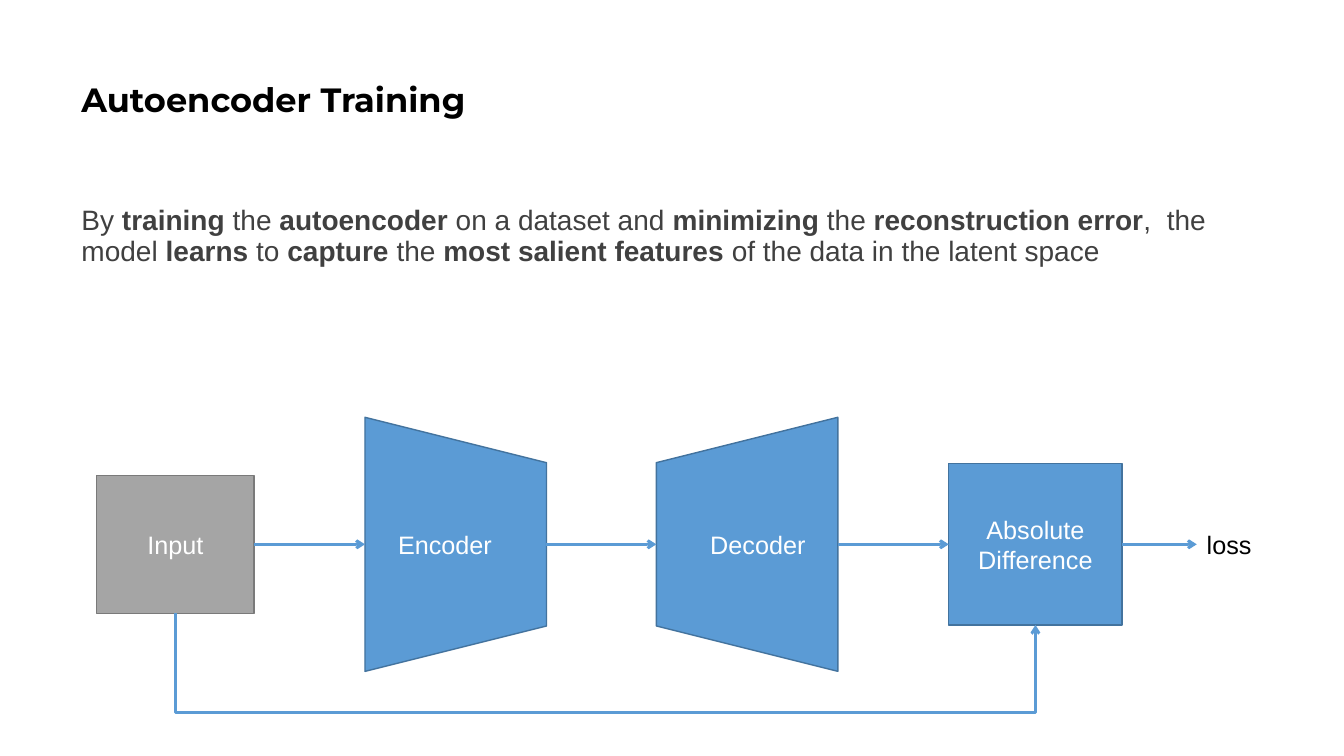
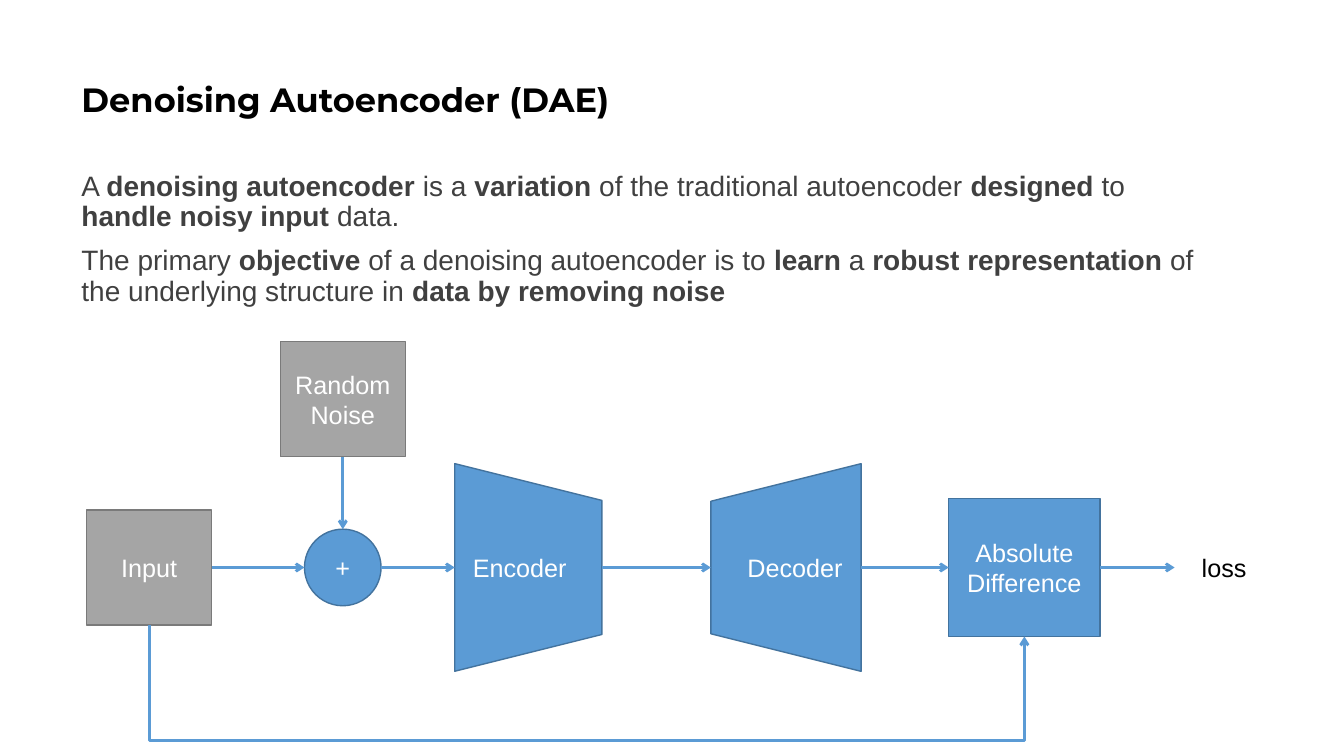
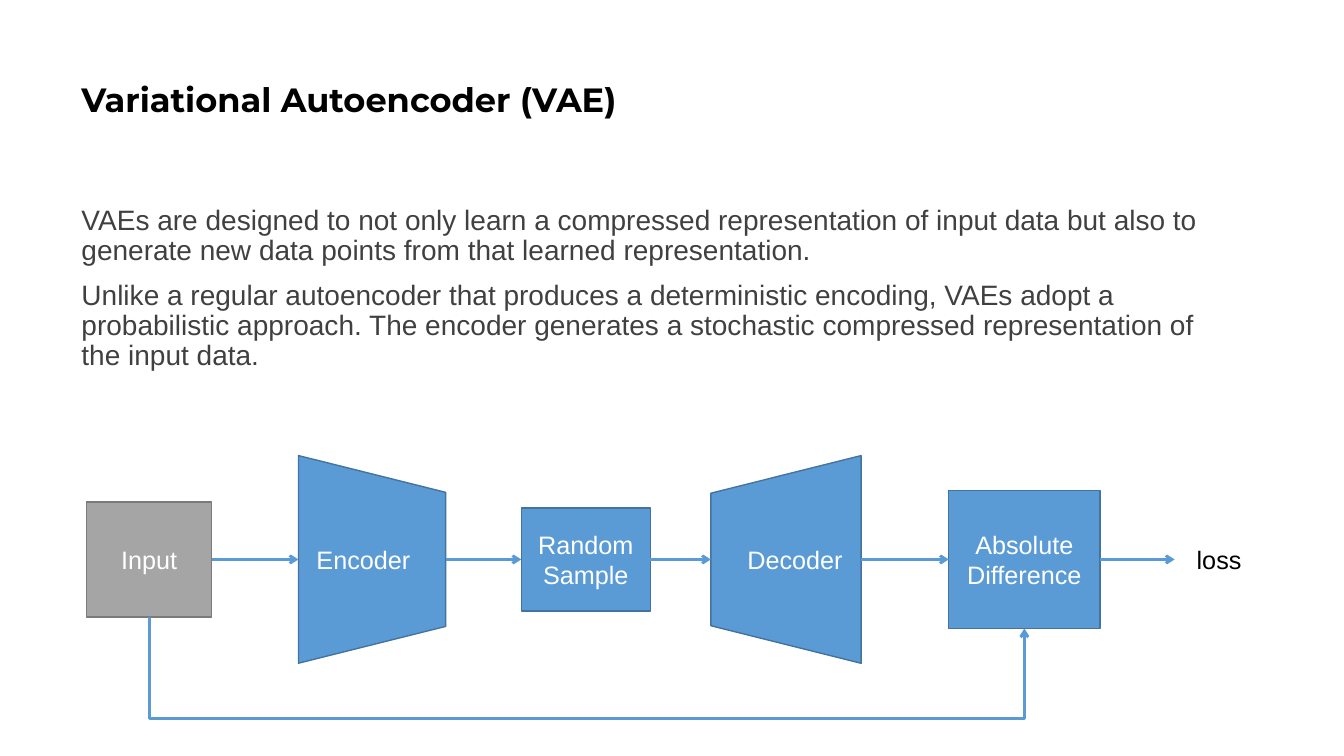
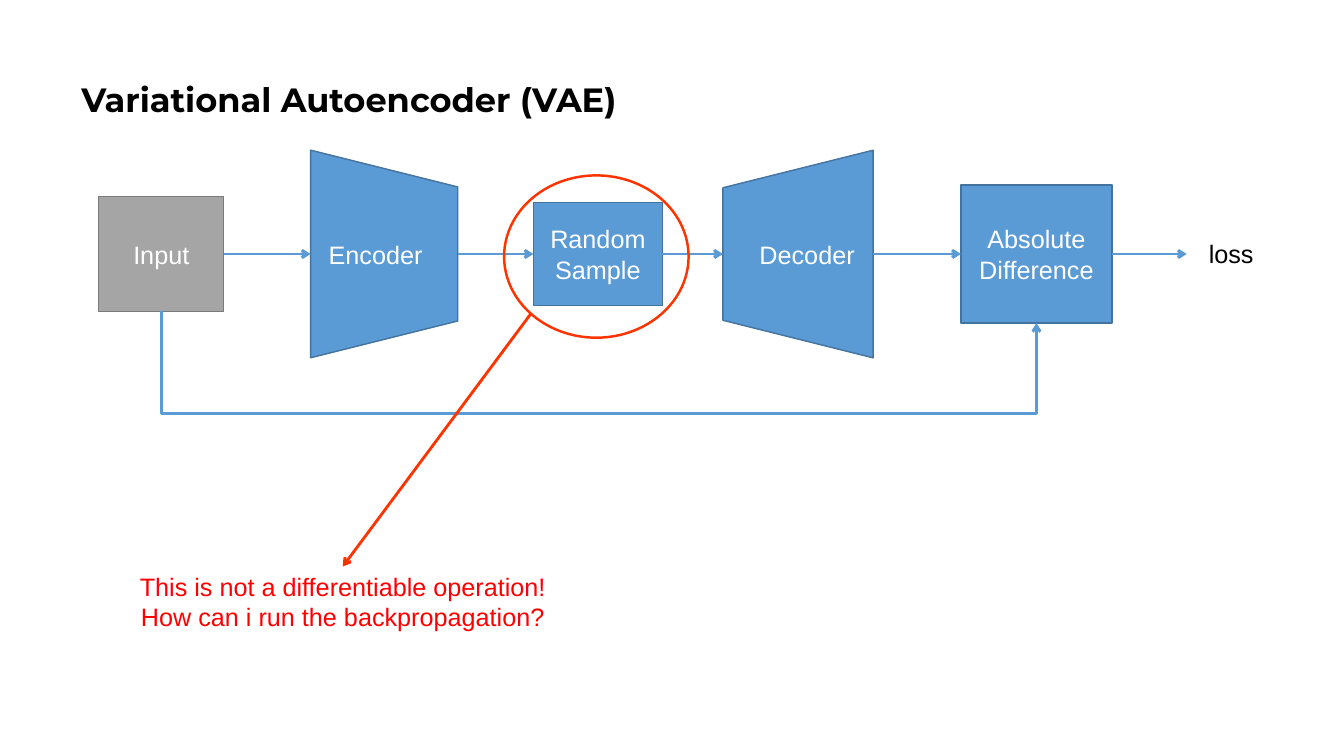
"""Build four slides on autoencoder training and its denoising and variational forms."""
from lxml import etree
from pptx import Presentation
from pptx.dml.color import RGBColor
from pptx.enum import shapes, text
from pptx.oxml import ns
from pptx.util import Inches, Pt

COLORS = {"black": "000000", "body": "404040", "white": "FFFFFF", "blue": "5B9BD5",
          "blue edge": "43739E", "gray": "A5A5A5", "gray edge": "7A7A7A",
          "ring": "FF3300", "warning": "FF0000"}
RECT, OVAL, TRAPEZOID = (shapes.MSO_SHAPE.RECTANGLE, shapes.MSO_SHAPE.OVAL,
                         shapes.MSO_SHAPE.TRAPEZOID)
STRAIGHT, ELBOW = shapes.MSO_CONNECTOR.STRAIGHT, shapes.MSO_CONNECTOR.ELBOW
LEFT, CENTER = text.PP_ALIGN.LEFT, text.PP_ALIGN.CENTER
MIDDLE = text.MSO_ANCHOR.MIDDLE
GRAY_BLOCKS = ("Input", "Random\nNoise")
TURNS = {"Encoder": (90, "vert270"), "Decoder": (270, "vert")}
OUTPUT_LENGTH = 0.74


def write(shape, content, color, size=18, font="Arial", align=LEFT, wrap=True):
    """Fill a shape with one paragraph per line; asterisks enclose bold words."""
    frame = shape.text_frame
    frame.word_wrap = wrap
    for number, line in enumerate(content.split("\n")):
        paragraph = frame.add_paragraph() if number else frame.paragraphs[0]
        paragraph.alignment = align
        for index, words in enumerate(line.split("*")):
            if words:
                run = paragraph.add_run()
                run.text = words
                run.font.name, run.font.size = font, Pt(size)
                run.font.bold = index % 2 == 1
                run.font.color.rgb = RGBColor.from_string(COLORS[color])
    return frame


def add_arrow(slide, kind, x1, y1, x2, y2, color="blue"):
    """Draw a connector with an open arrowhead at its end."""
    arrow = slide.shapes.add_connector(kind, Inches(x1), Inches(y1), Inches(x2), Inches(y2))
    arrow.line.color.rgb = RGBColor.from_string(COLORS[color])
    arrow.line.width = Pt(2)
    etree.SubElement(arrow.line._get_or_add_ln(), ns.qn("a:tailEnd"), type="arrow")
    etree.SubElement(arrow._element.spPr, ns.qn("a:effectLst"))
    return arrow


variational_chain = [("Input", RECT, 0.86, 1.24, 1.14), ("Encoder", TRAPEZOID, 2.96, 1.46, 2.06),
                     ("Random\nSample", RECT, 5.17, 1.28, 1.02),
                     ("Decoder", TRAPEZOID, 7.05, 1.49, 2.06),
                     ("Absolute\nDifference", RECT, 9.41, 1.5, 1.37)]

pages = [
    {"title": "Autoencoder Training", "body top": 2, "body height": 1.32,
     "body": "By *training *the *autoencoder *on a dataset and *minimizing *the "
             "*reconstruction error*,  the model *learns *to *capture *the "
             "*most salient features* of the data in the latent space",
     "axis": 5.4, "drop": 1.67, "loss": 11.87,
     "chain": [("Input", RECT, 0.96, 1.56, 1.37), ("Encoder", TRAPEZOID, 3.62, 1.8, 2.52),
               ("Decoder", TRAPEZOID, 6.51, 1.8, 2.52),
               ("Absolute\nDifference", RECT, 9.41, 1.72, 1.6)]},
    {"title": "Denoising Autoencoder (DAE)", "body top": 1.66, "body height": 1.62,
     "body": "A *denoising autoencoder *is a *variation *of the traditional autoencoder "
             "*designed *to *handle noisy input *data.\n"
             "The primary *objective *of a denoising autoencoder is to *learn *a "
             "*robust representation* of the underlying structure in *data by removing noise*",
     "axis": 5.63, "drop": 1.72, "loss": 11.82,
     "chain": [("Input", RECT, 0.86, 1.24, 1.14), ("+", OVAL, 3.02, 0.76, 0.76),
               ("Encoder", TRAPEZOID, 4.51, 1.46, 2.06),
               ("Decoder", TRAPEZOID, 7.05, 1.49, 2.06),
               ("Absolute\nDifference", RECT, 9.41, 1.5, 1.37)],
     "noise": ("Random\nNoise", RECT, 2.78, 1.24, 1.14), "noise axis": 3.96},
    {"title": "Variational Autoencoder (VAE)", "body top": 2, "body height": 1.94,
     "body": "VAEs are designed to not only learn a compressed representation of input data "
             "but also to generate new data points from that learned representation.\n"
             "Unlike a regular autoencoder that produces a deterministic encoding, VAEs adopt "
             "a probabilistic approach. The encoder generates a stochastic compressed "
             "representation of the input data.",
     "axis": 5.55, "drop": 1.58, "loss": 11.77, "chain": variational_chain},
    {"title": "Variational Autoencoder (VAE)",
     "axis": 2.52, "drop": 1.58, "loss": 11.89,
     "chain": [(label, kind, left + 0.12, width, height)
               for label, kind, left, width, height in variational_chain],
     "warning": "This is not a differentiable operation!\nHow can i run the backpropagation?"},
]

deck = Presentation()
deck.slide_width, deck.slide_height = Inches(13.33), Inches(7.5)

for page in pages:
    slide = deck.slides.add_slide(deck.slide_layouts[6])
    axis, chain = page["axis"], page["chain"]

    title = slide.shapes.add_textbox(Inches(0.71), Inches(0.28), Inches(11.5), Inches(1.45))
    heading = write(title, f"*{page['title']}*", "black", 24, "Montserrat")
    heading.vertical_anchor = MIDDLE
    heading.paragraphs[0].line_spacing = 0.9

    if "body" in page:
        body = slide.shapes.add_textbox(Inches(0.71), Inches(page["body top"]),
                                        Inches(11.5), Inches(page["body height"]))
        for paragraph in write(body, page["body"], "body", 20).paragraphs:
            paragraph.line_spacing, paragraph.space_before = 0.9, Pt(10)

    blocks = [(block, axis) for block in chain]
    if "noise" in page:
        blocks.append((page["noise"], page["noise axis"]))
    for (label, kind, left, width, height), middle in blocks:
        turn, direction = TURNS.get(label, (0, "horz"))
        across, down = (height, width) if turn else (width, height)
        block = slide.shapes.add_shape(kind, Inches(left + (width - across) / 2),
                                       Inches(middle - down / 2), Inches(across), Inches(down))
        block.rotation = turn
        block.shadow.inherit = False
        shade = "gray" if label in GRAY_BLOCKS else "blue"
        block.fill.solid()
        block.fill.fore_color.rgb = RGBColor.from_string(COLORS[shade])
        block.line.color.rgb = RGBColor.from_string(COLORS[shade + " edge"])
        block.line.width = Pt(1)
        caption = write(block, label, "white", align=CENTER)
        caption.vertical_anchor = MIDDLE
        caption._txBody.bodyPr.set("vert", direction)

    starts = [left + width for _, _, left, width, _ in chain]
    ends = [left for _, _, left, _, _ in chain[1:]] + [starts[-1] + OUTPUT_LENGTH]
    for start, end in zip(starts, ends):
        add_arrow(slide, STRAIGHT, start, axis, end, axis)

    (_, _, input_left, input_width, input_height), difference = chain[0], chain[-1]
    x1, y1 = input_left + input_width / 2, axis + input_height / 2
    x2, y2 = difference[2] + difference[3] / 2, axis + difference[4] / 2
    span, rise = x2 - x1, y2 - y1
    bypass = add_arrow(slide, ELBOW, x1, y1, x2, y2)
    bypass.left, bypass.top = Inches((x1 + x2 - rise) / 2), Inches((y1 + y2 - span) / 2)
    bypass.width, bypass.height = Inches(rise), Inches(span)
    frame = bypass._element.spPr.find(ns.qn("a:xfrm"))
    frame.set("rot", "5400000")
    frame.set("flipV", "1")
    bend = bypass._element.spPr.find(ns.qn("a:prstGeom")).get_or_add_avLst()
    depth = round((axis + page["drop"] - y1) / rise * 100000)
    etree.SubElement(bend, ns.qn("a:gd"), name="adj1", fmla=f"val {depth}")

    loss = slide.shapes.add_textbox(Inches(page["loss"]), Inches(axis - 0.2),
                                    Inches(0.68), Inches(0.4))
    write(loss, "loss", "black", wrap=False)

    if "noise" in page:
        _, _, left, width, height = page["noise"]
        add_arrow(slide, STRAIGHT, left + width / 2, page["noise axis"] + height / 2,
                  left + width / 2, axis - chain[1][4] / 2)

    if "warning" in page:
        ring = slide.shapes.add_shape(OVAL, Inches(5), Inches(1.74), Inches(1.83), Inches(1.61))
        ring.shadow.inherit = False
        ring.fill.background()
        ring.line.color.rgb = RGBColor.from_string(COLORS["ring"])
        ring.line.width = Pt(1.75)
        warning = slide.shapes.add_textbox(Inches(0.98), Inches(5.62), Inches(4.84), Inches(0.71))
        write(warning, page["warning"], "warning", align=CENTER, wrap=False)
        add_arrow(slide, STRAIGHT, 5.26, 3.12, 3.4, 5.62, "ring")

deck.save("out.pptx")
